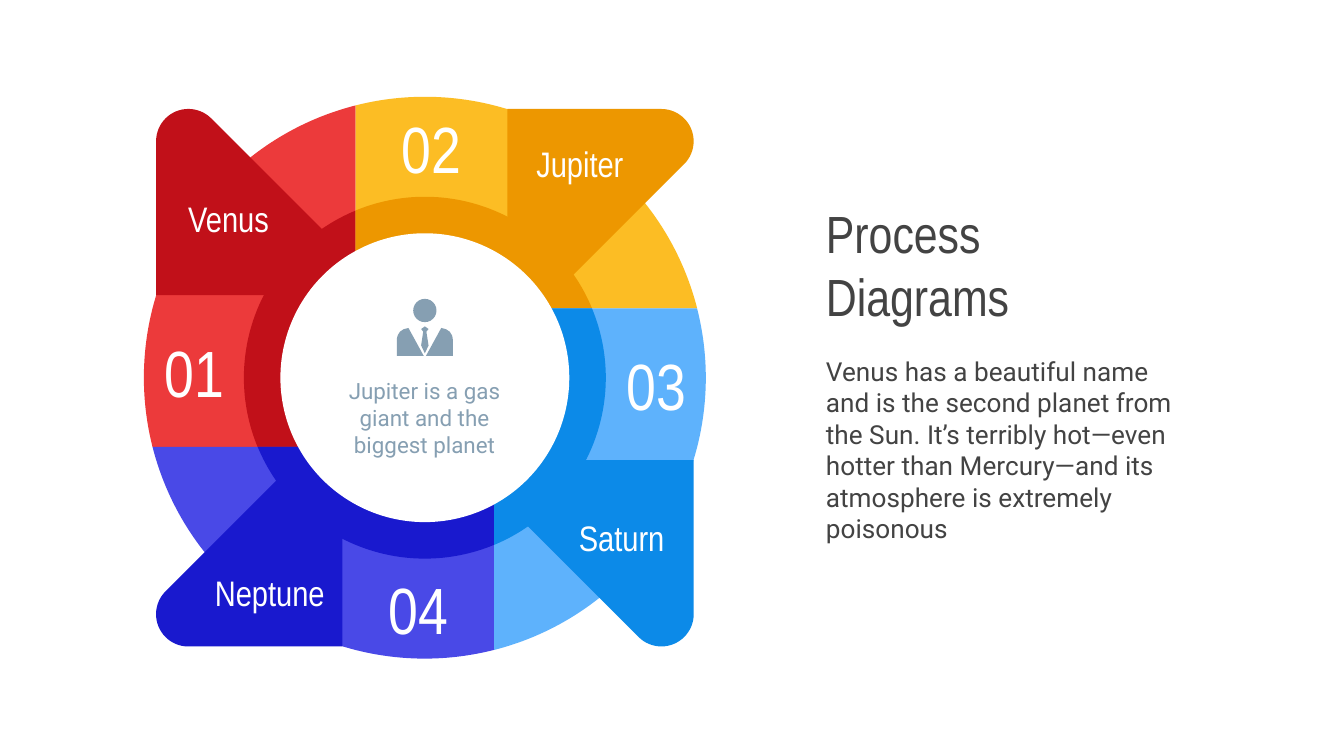
from dataclasses import dataclass
from math import asin, cos, degrees, radians, sin, tan

from lxml.etree import SubElement
from pptx import Presentation
from pptx.dml.color import RGBColor
from pptx.enum.shapes import MSO_SHAPE as Shape
from pptx.enum.text import MSO_ANCHOR as Anchor, PP_ALIGN as Align
from pptx.oxml.ns import qn
from pptx.util import Cm, Pt

Point = tuple[float, float]
Segment = list[Point]  # one point for a line, three for a cubic curve

COLORS = {
    "red": "EC3A3B", "dark red": "C11019",
    "yellow": "FCBD24", "dark yellow": "ED9700",
    "sky": "5EB2FC", "dark sky": "0C8AE8",
    "indigo": "4949E7", "dark indigo": "1919CE",
    "white": "FFFFFF", "gray": "434343", "steel": "869FB2",
}
HEADING, BODY = "Arial Narrow", "Roboto"

# Wheel measures in cm
CENTER_X, CENTER_Y = 8.03, 7.14
OUTER_RADIUS, INNER_RADIUS, HUB_RADIUS = 5.31, 3.42, 2.73
OFFSET = 1.31          # distance of each quarter's corner from the axes
ARROW_REACH = 5.08     # distance of the arrow's outer edge from the axes
ARROW_ROUNDING = 0.61
ARROW_BASE = 1.56
HEAD_RADIUS = 0.22
NUMBER_SIZE = (2.18, 1.35)
LABEL_SIZE = (2.72, 1.19)


@dataclass
class Step:
    number: str
    planet: str
    color: str
    quarters: int  # clockwise quarter turns from the first step
    number_at: Point
    label_at: Point


STEPS = [
    Step("01", "Venus", "red", 0, (2.59, 6.35), (2.96, 3.53)),
    Step("02", "Jupiter", "yellow", 1, (7.07, 2.11), (9.6, 2.49)),
    Step("04", "Neptune", "indigo", 3, (6.82, 10.82), (3.74, 10.6)),
    Step("03", "Saturn", "sky", 2, (11.31, 6.6), (10.39, 9.56)),
]


def arc(center: Point, radius: float, *angles: float) -> list[Segment]:
    """A start point, then one curve to each further angle in degrees."""
    def place(angle: float, pull: float = 0) -> Point:
        c, s = cos(radians(angle)), sin(radians(angle))
        return (center[0] + radius * (c - pull * s),
                center[1] + radius * (s + pull * c))

    segments = [[place(angles[0])]]
    for start, end in zip(angles, angles[1:]):
        pull = 4 / 3 * tan(radians(end - start) / 4)
        segments.append([place(start, pull), place(end, -pull), place(end)])
    return segments


def wedge(radius: float) -> list[Segment]:
    shift = degrees(asin(OFFSET / radius))
    return arc((0, 0), radius, 270 - shift, 180, 180 - shift) + [[(-OFFSET, OFFSET)]]


def arrow() -> list[Segment]:
    middle = ARROW_ROUNDING - ARROW_REACH
    corner = arc((middle, middle), ARROW_ROUNDING, 180, 270, 315)
    last_x, last_y = corner[-1][-1]
    tip = (last_x - ARROW_BASE - last_y, -ARROW_BASE)  # along a 45 degree edge
    return corner + [[tip], [(-ARROW_REACH, -ARROW_BASE)]]


def turn(segments: list[Segment], quarters: int) -> list[Segment]:
    for _ in range(quarters):
        segments = [[(-y, x) for x, y in segment] for segment in segments]
    return segments


def mirror(segments: list[Segment]) -> list[Segment]:
    return [[(-x, y) for x, y in segment] for segment in segments]


def paint(shape, color: str) -> None:
    shape.shadow.inherit = False
    shape.fill.solid()
    shape.fill.fore_color.rgb = RGBColor.from_string(COLORS[color])
    shape.line.fill.background()


def add_outline(shapes, segments: list[Segment], color: str) -> None:
    """Draw a closed outline whose points are relative to the wheel's center."""
    outline = [[(Cm(CENTER_X + x), Cm(CENTER_Y + y)) for x, y in segment]
               for segment in segments]
    ends = [segment[-1] for segment in outline]
    builder = shapes.build_freeform(*ends[0], scale=1.0)
    builder.add_line_segments(ends[1:], close=True)
    shape = builder.convert_to_shape()
    paint(shape, color)

    # Turn the lines that have control points into cubic curves
    left, top = min(x for x, _ in ends), min(y for _, y in ends)
    lines = list(shape._element.iter(qn("a:lnTo")))
    for line, segment in zip(lines, outline[1:]):
        if len(segment) == 3:
            curve = line.makeelement(qn("a:cubicBezTo"))
            for x, y in segment:
                SubElement(curve, qn("a:pt"), x=str(x - left), y=str(y - top))
            line.getparent().replace(line, curve)


def add_circle(shapes, x: float, y: float, radius: float, color: str) -> None:
    circle = shapes.add_shape(
        Shape.OVAL, Cm(x - radius), Cm(y - radius), Cm(2 * radius), Cm(2 * radius))
    paint(circle, color)


def add_text(shapes, text: str, at: Point, size: Point, points: float, font: str,
             color: str, align: Align = Align.CENTER,
             anchor: Anchor = Anchor.MIDDLE) -> None:
    frame = shapes.add_textbox(*map(Cm, at + size)).text_frame
    frame.word_wrap = True
    frame.vertical_anchor = anchor
    frame.margin_left = frame.margin_right = Cm(0.25)
    frame.margin_top = frame.margin_bottom = Cm(0.25)
    paragraph = frame.paragraphs[0]
    paragraph.text = text
    paragraph.alignment = align
    paragraph.font.size = Pt(points)
    paragraph.font.name = font
    paragraph.font.color.rgb = RGBColor.from_string(COLORS[color])


def add_step(slide, step: Step) -> None:
    shapes = slide.shapes.add_group_shape().shapes
    dark = f"dark {step.color}"
    add_outline(shapes, turn(wedge(OUTER_RADIUS), step.quarters), step.color)
    add_outline(shapes, turn(wedge(INNER_RADIUS), step.quarters), dark)
    add_outline(shapes, turn(arrow(), step.quarters), dark)
    add_text(shapes, step.planet, step.label_at, LABEL_SIZE, 19, HEADING, "white")
    add_text(shapes, step.number, step.number_at, NUMBER_SIZE, 35, HEADING, "white")


def add_hub(slide) -> None:
    shapes = slide.shapes.add_group_shape().shapes
    add_circle(shapes, CENTER_X, CENTER_Y, HUB_RADIUS, "white")

    # Person icon: head, two halves of the jacket, tie
    add_circle(shapes, CENTER_X, 5.87, HEAD_RADIUS, "steel")
    jacket = [[(0.31, -0.94)], [(0.02, -0.41)], [(0.53, -0.41)], [(0.53, -0.69)],
              [(0.53, -0.86), (0.44, -0.92), (0.31, -0.94)]]
    add_outline(shapes, jacket, "steel")
    add_outline(shapes, mirror(jacket), "steel")
    tie = [[(0, -0.97)], [(0.07, -0.92)], [(0.03, -0.87)], [(0.07, -0.61)], [(0, -0.46)]]
    add_outline(shapes, tie + mirror(tie[-2:0:-1]), "steel")

    add_text(shapes, "Jupiter is a gas giant and the biggest planet",
             (6.03, 7.16), (3.99, 1.47), 12, BODY, "steel")


def main() -> None:
    presentation = Presentation()
    presentation.slide_width, presentation.slide_height = Cm(25.4), Cm(14.29)
    slide = presentation.slides.add_slide(presentation.slide_layouts[6])

    # Title and description
    add_text(slide.shapes, "Process Diagrams", (15.36, 3.81), (6.91, 2.36),
             28, HEADING, "gray", Align.LEFT)
    add_text(slide.shapes,
             "Venus has a beautiful name and is the second planet from the Sun. "
             "It’s terribly hot—even hotter than Mercury—and its atmosphere is "
             "extremely poisonous",
             (15.36, 6.47), (7.32, 4.01), 14, BODY, "gray", Align.LEFT, Anchor.TOP)

    # Wheel
    for step in STEPS:
        add_step(slide, step)
    add_hub(slide)

    presentation.save("out.pptx")


if __name__ == "__main__":
    main()
